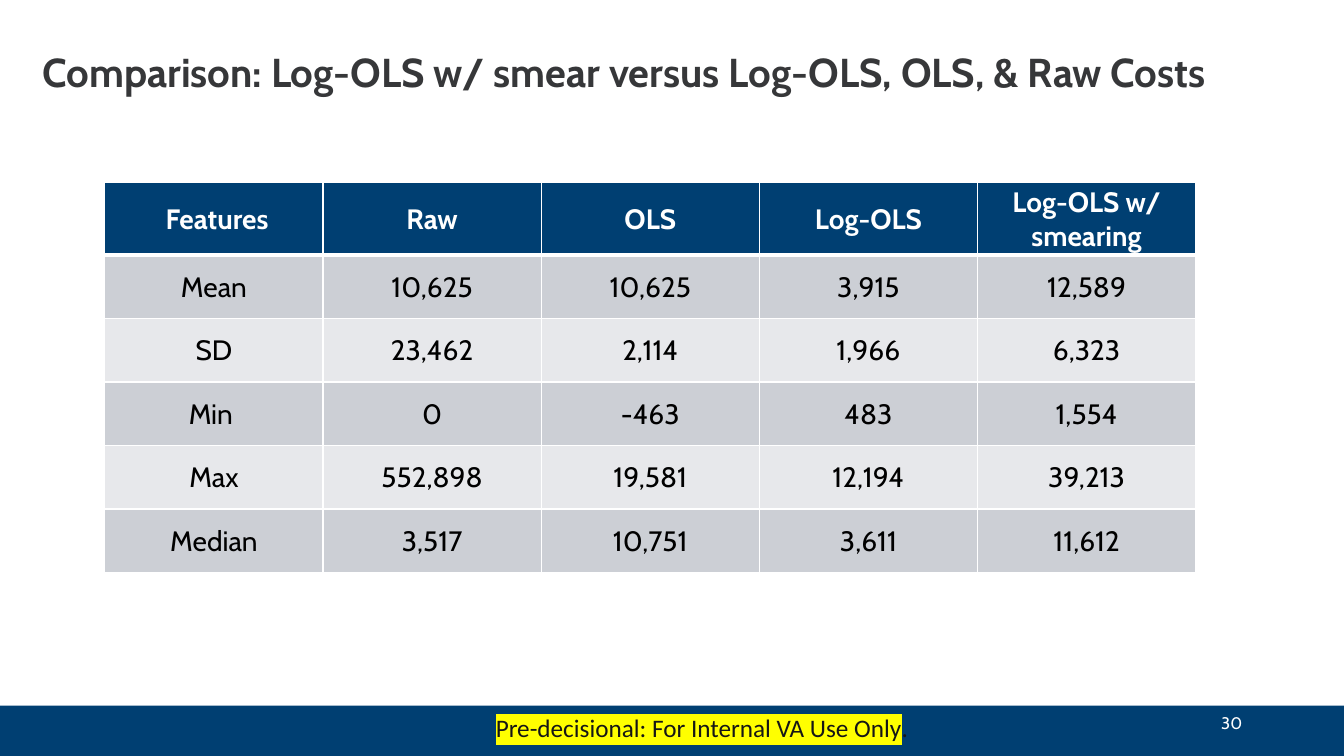
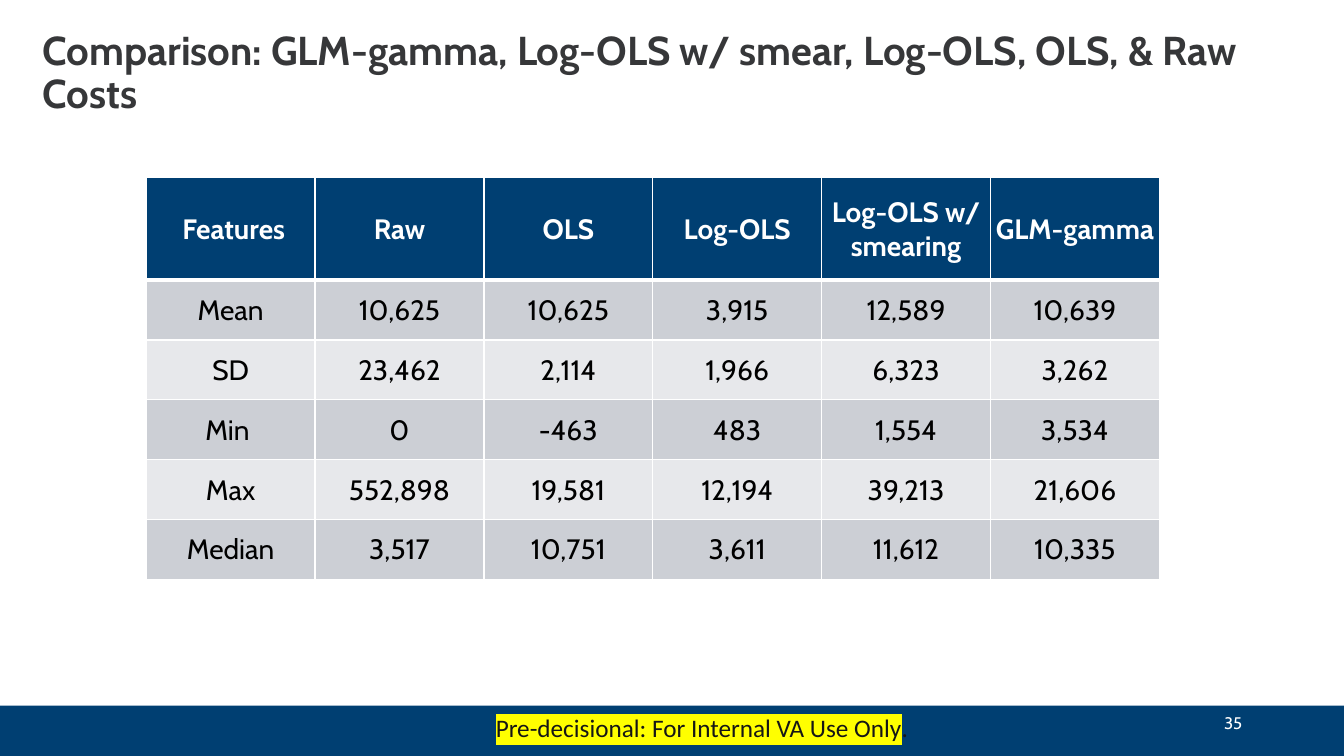
from dataclasses import dataclass

from lxml import etree
from pptx import Presentation
from pptx.dml.color import RGBColor
from pptx.enum import shapes, text
from pptx.oxml.ns import qn
from pptx.util import Pt

SCALE = 9144  # EMU in one px, 100 px to the inch
WIDTH, HEIGHT = 1333, 750


def px(length):
    return round(length * SCALE)


@dataclass(frozen=True)
class Theme:
    navy: str = "003F72"
    white: str = "FFFFFF"
    black: str = "000000"
    title_ink: str = "363739"
    notice_ink: str = "151616"
    highlight: str = "FFFF00"
    bands: tuple = ("CCCFD5", "E7E8EB")
    font: str = "Cabin"
    notice_font: str = "Calibri"
    title_size: float = 28.8
    table_size: int = 20
    notice_size: int = 18
    number_size: int = 12
    grid_line: int = 1
    header_line: int = 3


class Builder:
    def __init__(self, deck, theme):
        self.deck = deck
        self.theme = theme
        self.page = None

    def new_page(self, title, number):
        self.page = self.deck.slides.add_slide(self.deck.slide_layouts[5])
        self.band()
        self.title(title)
        self.number(number)
        self.notice("Pre-decisional: For Internal VA Use Only", ". ")

    def span(self, para, words, size, color, font=None, bold=False):
        span = para.add_run()
        span.text = words
        span.font.size = Pt(size)
        span.font.bold = bold
        span.font.color.rgb = RGBColor.from_string(color)
        span.font.name = font or self.theme.font
        return span

    def text_box(self, left, top, width, height, align):
        box = self.page.shapes.add_textbox(*map(px, (left, top, width, height)))
        box.text_frame.word_wrap = True
        para = box.text_frame.paragraphs[0]
        para.alignment = align
        return box.text_frame, para

    # Shared parts of every page
    def band(self):
        band = self.page.shapes.add_shape(
            shapes.MSO_SHAPE.RECTANGLE, 0, px(700), px(WIDTH), px(50))
        band.shadow.inherit = False
        band.fill.solid()
        band.fill.fore_color.rgb = RGBColor.from_string(self.theme.navy)
        band.line.fill.background()

    def title(self, words):
        title = self.page.shapes.title
        title.left, title.top, title.width, title.height = map(px, (32, 32, 1271, 83))
        frame = title.text_frame
        frame.word_wrap = True
        frame.auto_size = text.MSO_AUTO_SIZE.NONE
        frame.vertical_anchor = text.MSO_ANCHOR.MIDDLE
        para = frame.paragraphs[0]
        para.alignment = text.PP_ALIGN.LEFT
        para.line_spacing = 0.9
        self.span(para, words, self.theme.title_size, self.theme.title_ink, bold=True)

    def number(self, number):
        frame, para = self.text_box(942, 700, 300, 35, text.PP_ALIGN.RIGHT)
        frame.vertical_anchor = text.MSO_ANCHOR.MIDDLE
        self.span(para, str(number), self.theme.number_size, self.theme.white)

    def notice(self, marked, ending):
        theme = self.theme
        frame, para = self.text_box(458, 702, 482, 40, text.PP_ALIGN.CENTER)
        frame.auto_size = text.MSO_AUTO_SIZE.SHAPE_TO_FIT_TEXT
        style = (theme.notice_size, theme.notice_ink, theme.notice_font)
        span = self.span(para, marked, *style)
        self.span(para, ending, *style)
        marker = etree.Element(qn("a:highlight"))
        etree.SubElement(marker, qn("a:srgbClr"), val=theme.highlight)
        span.font._element.find(qn("a:solidFill")).addnext(marker)

    # Comparison table
    def table(self, left, top, width, height, header_height, rows):
        count, columns = len(rows), len(rows[0])
        table = self.page.shapes.add_table(
            count, columns, *map(px, (left, top, width, height))).table
        for column in table.columns:
            column.width = px(width / columns)
        for index, (row, values) in enumerate(zip(table.rows, rows)):
            body_height = (height - header_height) / (count - 1)
            row.height = px(body_height if index else header_height)
            for cell, value in zip(row.cells, values):
                self.cell(cell, value, index)

    def cell(self, cell, value, row):
        theme = self.theme
        header = row == 0
        fill = theme.navy if header else theme.bands[(row - 1) % 2]
        cell.fill.solid()
        cell.fill.fore_color.rgb = RGBColor.from_string(fill)
        cell.vertical_anchor = text.MSO_ANCHOR.MIDDLE
        cell.margin_left = cell.margin_right = cell.margin_top = px(1)
        cell.margin_bottom = 0
        para = cell.text_frame.paragraphs[0]
        para.alignment = text.PP_ALIGN.CENTER
        self.span(para, value, theme.table_size,
                  theme.white if header else theme.black, bold=header)
        self.borders(cell, {
            "a:lnL": theme.grid_line,
            "a:lnR": theme.grid_line,
            "a:lnT": theme.header_line if row == 1 else theme.grid_line,
            "a:lnB": theme.header_line if header else theme.grid_line,
        })

    def borders(self, cell, sides):
        properties = cell._tc.get_or_add_tcPr()
        for position, (side, weight) in enumerate(sides.items()):
            line = etree.Element(qn(side), w=str(Pt(weight)))
            fill = etree.SubElement(line, qn("a:solidFill"))
            etree.SubElement(fill, qn("a:srgbClr"), val=self.theme.white)
            properties.insert(position, line)


# Cost statistics, with the gamma model as the last column
STATISTICS = [
    (" Features", "Raw", "OLS", "Log-OLS", "Log-OLS w/ smearing", "GLM-gamma"),
    ("Mean", "10,625", "10,625", "3,915", "12,589", "10,639"),
    ("SD", "23,462", "2,114", "1,966", "6,323", "3,262"),
    ("Min ", "0", "-463", "483", "1,554", "3,534"),
    ("Max", "552,898", "19,581", "12,194", "39,213", "21,606"),
    ("Median", "3,517", "10,751", "3,611", "11,612", "10,335"),
]


def main():
    deck = Presentation()
    deck.slide_width, deck.slide_height = px(WIDTH), px(HEIGHT)
    builder = Builder(deck, Theme())

    # Smearing comparison
    builder.new_page("Comparison: Log-OLS w/ smear versus Log-OLS, OLS, & Raw Costs", 30)
    builder.table(104, 181, 1082, 387, 72, [row[:-1] for row in STATISTICS])

    # Comparison with the gamma model
    builder.new_page("Comparison: GLM-gamma, Log-OLS w/ smear, Log-OLS, OLS, & Raw Costs", 35)
    builder.table(145, 176, 1005, 399, 102, STATISTICS)

    deck.save("out.pptx")


if __name__ == "__main__":
    main()
